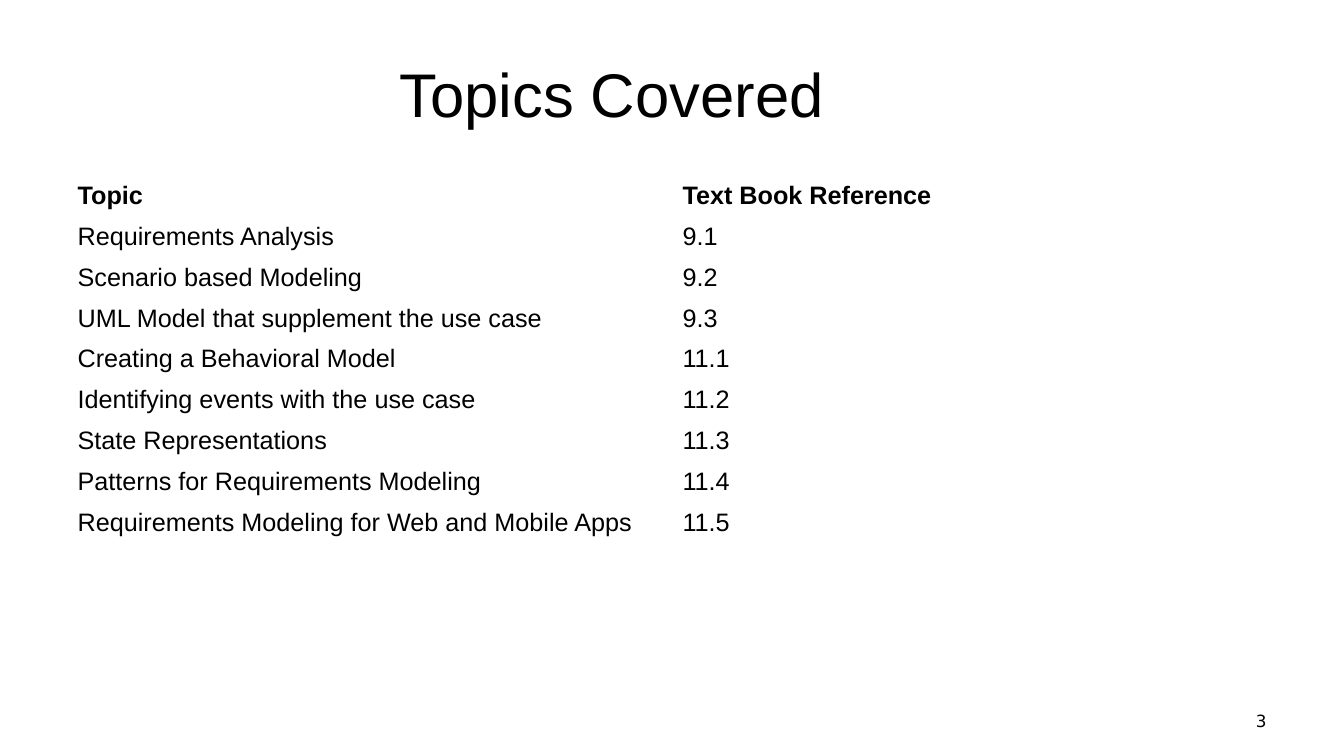
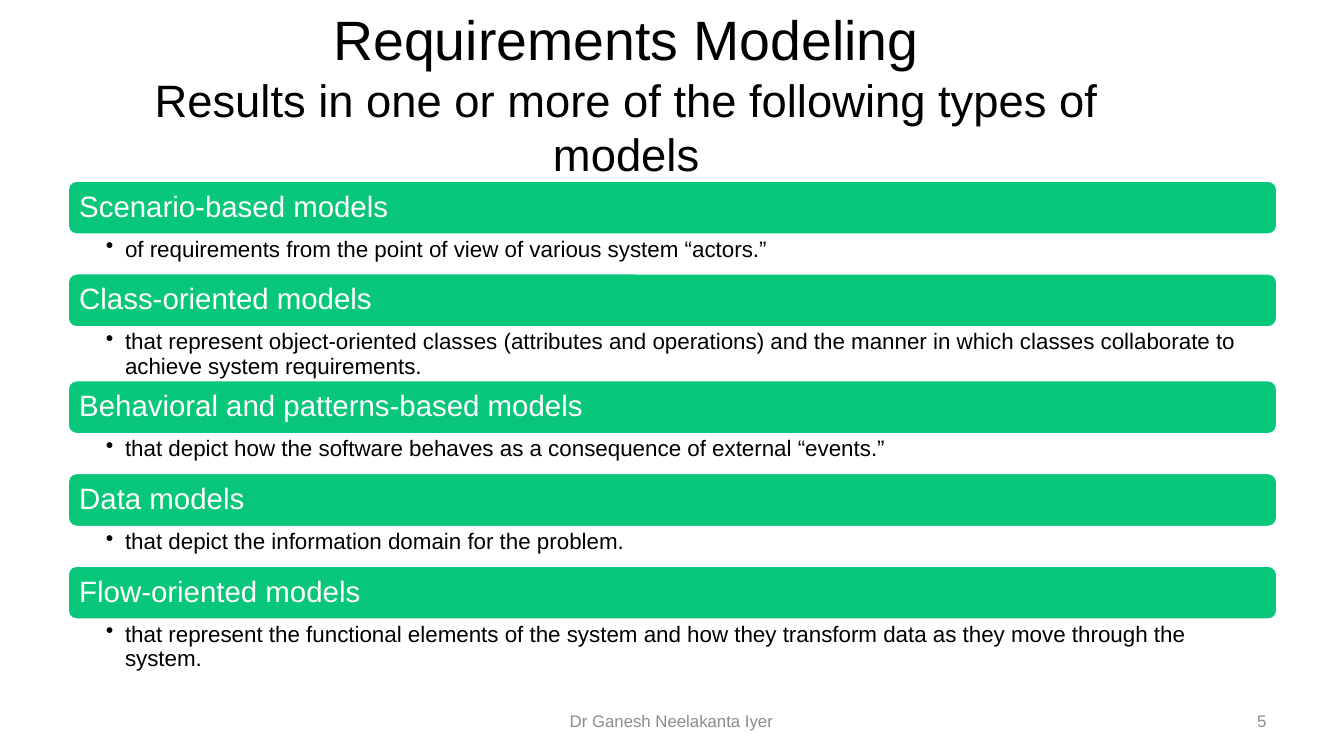
from lxml import etree
from pptx import Presentation
from pptx.dml.color import RGBColor
from pptx.enum import shapes, text
from pptx.oxml import ns
from pptx.util import Inches, Pt

COLORS = {"black": "000000", "white": "FFFFFF", "green": "09C77A", "gray": "8C8C8C"}
FONT = "Arial"
LEFT, WIDTH = 0.67, 12

TOPICS = [
    ("Topic", "Text Book Reference"),
    ("Requirements Analysis", "9.1"),
    ("Scenario based Modeling", "9.2"),
    ("UML Model that supplement the use case", "9.3"),
    ("Creating a Behavioral Model", "11.1"),
    ("Identifying events with the use case", "11.2"),
    ("State Representations", "11.3"),
    ("Patterns for Requirements Modeling", "11.4"),
    ("Requirements Modeling for Web and Mobile Apps", "11.5"),
    ("", ""),
]
MODELS = [
    ("Scenario-based models",
     "of requirements from the point of view of various system “actors.”", 1),
    ("Class-oriented models",
     "that represent object-oriented classes (attributes and operations) and the manner "
     "in which classes collaborate to achieve system requirements.", 2),
    ("Behavioral and patterns-based models",
     "that depict how the software behaves as a consequence of external “events.”", 1),
    ("Data models", "that depict the information domain for the problem.", 1),
    ("Flow-oriented models",
     "that represent the functional elements of the system and how they transform data "
     "as they move through the system.", 2),
]
DETAIL_HEIGHTS = {1: 0.38, 2: 0.52}
MODELS_TOP, BAR_HEIGHT = 1.79, 0.54


def style(font, size, color="black", name=FONT, bold=False):
    font.name, font.size, font.bold = name, Pt(size), bold
    font.color.rgb = RGBColor.from_string(COLORS[color])


def set_insets(frame, left, top, right, bottom):
    frame.margin_left, frame.margin_top = Inches(left), Inches(top)
    frame.margin_right, frame.margin_bottom = Inches(right), Inches(bottom)


def add_titled_slide(prs, title, sizes):
    slide = prs.slides.add_slide(prs.slide_layouts[5])
    heading = slide.shapes.title
    heading.left, heading.top = Inches(LEFT), Inches(0.3)
    heading.width, heading.height = Inches(11.08), Inches(1.25)
    frame = heading.text_frame
    frame.text = title
    frame.auto_size = text.MSO_AUTO_SIZE.NONE
    frame.vertical_anchor = text.MSO_ANCHOR.MIDDLE
    paragraph = frame.paragraphs[0]
    paragraph.alignment = text.PP_ALIGN.CENTER
    for run, size in zip(paragraph.runs, sizes):
        style(run.font, size)
    for line_break in paragraph._p.findall(ns.qn("a:br")):
        etree.SubElement(line_break, ns.qn("a:rPr"), sz=str(round(sizes[0] * 100)))
    return slide


def add_text(slide, left, top, width, height, words):
    box = slide.shapes.add_textbox(Inches(left), Inches(top), Inches(width), Inches(height))
    box.text_frame.word_wrap = True
    box.text_frame.text = words
    return box.text_frame


def add_footer(slide, left, width, words, align, color, name=FONT):
    frame = add_text(slide, left, 6.95, width, 0.4, words)
    frame.vertical_anchor = text.MSO_ANCHOR.MIDDLE
    frame.paragraphs[0].alignment = align
    style(frame.paragraphs[0].runs[0].font, 12, color, name)


def add_page_number(slide, number, color, name=FONT):
    add_footer(slide, 9.55, 3.11, number, text.PP_ALIGN.RIGHT, color, name)


def add_topics(slide):
    table = slide.shapes.add_table(len(TOPICS), 2, Inches(LEFT), Inches(1.75),
                                   Inches(WIDTH), Inches(4.06)).table
    table.first_row = table.horz_banding = False
    for row, entries in enumerate(TOPICS):
        for column, entry in enumerate(entries):
            cell = table.cell(row, column)
            cell.fill.background()
            cell.text_frame.text = entry
            for run in cell.text_frame.paragraphs[0].runs:
                style(run.font, 18, bold=row == 0)


def add_bar(slide, top, name):
    bar = slide.shapes.add_shape(shapes.MSO_SHAPE.ROUNDED_RECTANGLE, Inches(LEFT),
                                 Inches(top), Inches(WIDTH), Inches(BAR_HEIGHT))
    bar.shadow.inherit = False
    bar.fill.solid()
    bar.fill.fore_color.rgb = RGBColor.from_string(COLORS["green"])
    bar.line.color.rgb = RGBColor.from_string(COLORS["white"])
    bar.line.width = Pt(2)
    frame = bar.text_frame
    frame.text = name
    frame.vertical_anchor = text.MSO_ANCHOR.MIDDLE
    set_insets(frame, 0.09, 0.09, 0.09, 0.09)
    paragraph = frame.paragraphs[0]
    paragraph.alignment = text.PP_ALIGN.LEFT
    paragraph.line_spacing = 0.9
    style(paragraph.runs[0].font, 21, "white")


def add_detail(slide, top, height, words):
    frame = add_text(slide, LEFT, top, WIDTH, height, words)
    set_insets(frame, 0.38, 0.03, 0.16, 0.03)
    paragraph = frame.paragraphs[0]
    paragraph.line_spacing = 0.9
    properties = paragraph._p.get_or_add_pPr()
    properties.set("marL", str(Inches(0.19)))
    properties.set("indent", str(-Inches(0.19)))
    etree.SubElement(properties, ns.qn("a:buChar"), char="•")
    style(paragraph.runs[0].font, 16)


def add_models(slide):
    top = MODELS_TOP
    for name, detail, lines in MODELS:
        add_bar(slide, top, name)
        add_detail(slide, top + BAR_HEIGHT, DETAIL_HEIGHTS[lines], detail)
        top += BAR_HEIGHT + DETAIL_HEIGHTS[lines]


def main():
    prs = Presentation()
    prs.slide_width, prs.slide_height = Inches(13.33), Inches(7.5)

    topics = add_titled_slide(prs, "Topics Covered\t", [44])
    add_topics(topics)
    add_page_number(topics, "3", "black", "DejaVu Sans")

    models = add_titled_slide(
        prs, "Requirements Modeling\vResults in one or more of the following types of models",
        [39.6, 32.4])
    add_models(models)
    add_footer(models, 4.55, 4.22, "Dr Ganesh Neelakanta Iyer", text.PP_ALIGN.CENTER, "gray")
    add_page_number(models, "5", "gray")

    prs.save("out.pptx")


if __name__ == "__main__":
    main()
